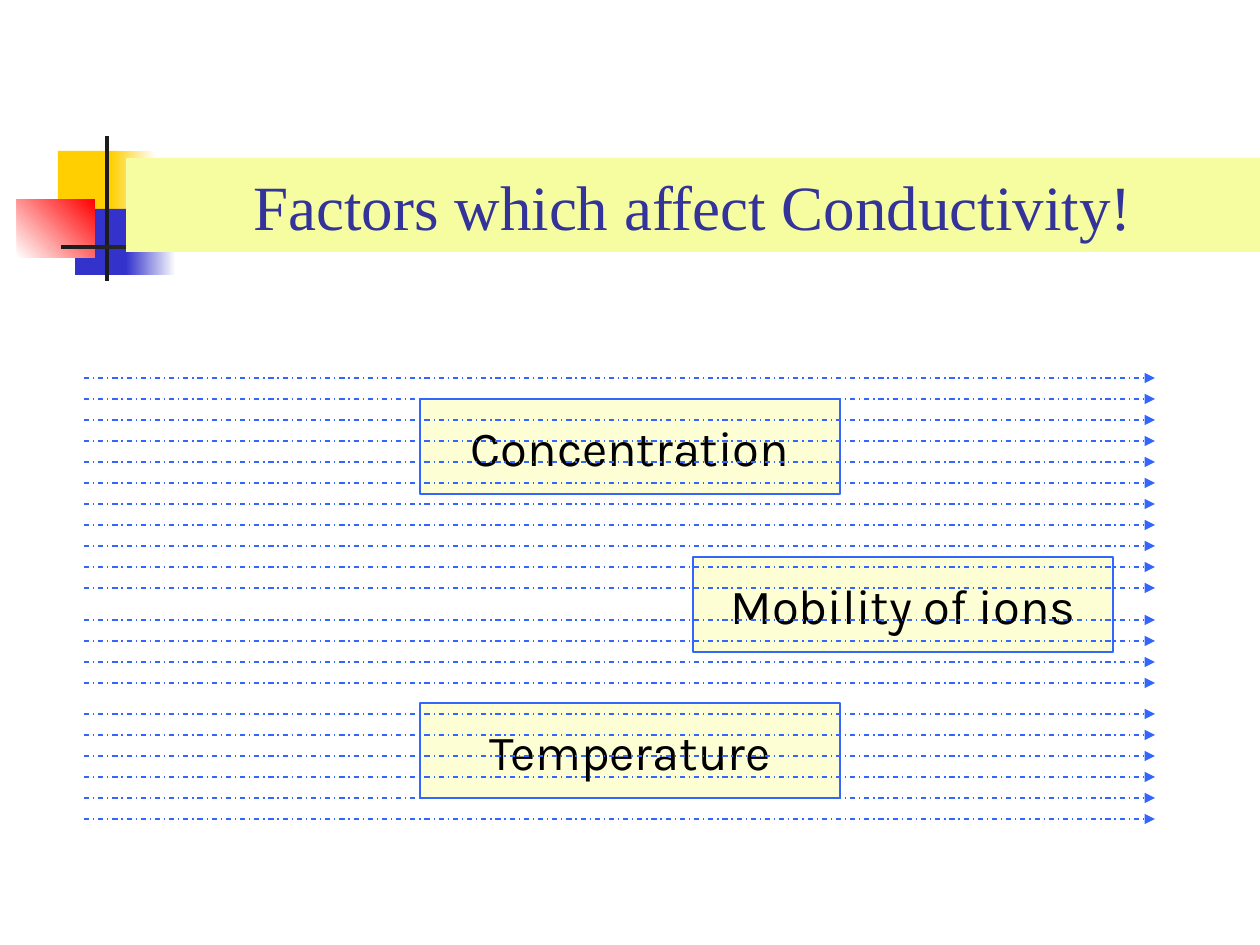
from dataclasses import dataclass
from typing import Optional

from lxml.etree import SubElement
from pptx import Presentation
from pptx.dml.color import RGBColor
from pptx.enum.dml import MSO_LINE
from pptx.enum.shapes import MSO_CONNECTOR, MSO_SHAPE
from pptx.enum.text import MSO_ANCHOR, MSO_AUTO_SIZE, PP_ALIGN
from pptx.oxml.ns import qn
from pptx.util import Emu, Pt

EMU_PER_PX = 914400 / 126
COLORS = {
    "yellow": "FFCF01",
    "blue": "3333CC",
    "red": "FF0000",
    "white": "FFFFFF",
    "bar": "1C1C1C",
    "banner": "F6FDA1",
    "title": "333399",
    "label": "FDFED4",
    "flow": "3366FF",
    "text": "000000",
}


@dataclass
class Block:
    left: int
    top: int
    width: int
    height: int
    color: str
    fade_to: Optional[str] = None
    angle: int = 0


@dataclass
class Factor:
    name: str
    left: int
    top: int


@dataclass
class FlowBand:
    top: int
    count: int


ORNAMENT = [
    Block(58, 151, 60, 65, "yellow"),
    Block(111, 151, 45, 65, "yellow", "white"),
    Block(75, 209, 58, 66, "blue"),
    Block(126, 209, 50, 66, "blue", "white"),
    Block(17, 199, 78, 59, "white", "red", 45),
    Block(105, 136, 4, 145, "bar"),
    Block(61, 245, 1134, 4, "bar", "white"),
]
FACTORS = [
    Factor("Mobility of ions", 693, 557),
    Factor("Concentration", 420, 399),
    Factor("Temperature", 420, 703),
]
FACTOR_WIDTH, FACTOR_HEIGHT = 420, 95
FLOW_BANDS = [FlowBand(378, 11), FlowBand(620, 4), FlowBand(714, 6)]
FLOW_LEFT, FLOW_RIGHT, FLOW_STEP = 84, 1155, 21


def px(length: int) -> Emu:
    return Emu(round(length * EMU_PER_PX))


def rgb(color: str) -> RGBColor:
    return RGBColor.from_string(COLORS[color])


def write_centred(shape, text: str, font_name: str, size: int, color: str, wrap: bool) -> None:
    frame = shape.text_frame
    frame.text = text
    frame.word_wrap = wrap
    frame.auto_size = MSO_AUTO_SIZE.NONE
    frame.vertical_anchor = MSO_ANCHOR.MIDDLE
    paragraph = frame.paragraphs[0]
    paragraph.alignment = PP_ALIGN.CENTER
    font = paragraph.font
    font.name, font.size = font_name, Pt(size)
    font.color.rgb = rgb(color)


def add_block(slide, block: Block):
    shape = slide.shapes.add_shape(
        MSO_SHAPE.RECTANGLE, px(block.left), px(block.top), px(block.width), px(block.height))
    shape.shadow.inherit = False
    shape.line.fill.background()
    if block.fade_to:
        shape.fill.gradient()
        shape.fill.gradient_angle = block.angle
        for stop, color in zip(shape.fill.gradient_stops, (block.color, block.fade_to)):
            stop.color.rgb = rgb(color)
    else:
        shape.fill.solid()
        shape.fill.fore_color.rgb = rgb(block.color)
    return shape


def add_factor(slide, factor: Factor) -> None:
    label = add_block(
        slide, Block(factor.left, factor.top, FACTOR_WIDTH, FACTOR_HEIGHT, "label"))
    label.line.color.rgb = rgb("flow")
    label.line.width = Pt(0.75)
    write_centred(label, factor.name, "Karla", 28, "text", wrap=False)


def add_flow_arrow(slide, y: int) -> None:
    arrow = slide.shapes.add_connector(
        MSO_CONNECTOR.STRAIGHT, px(FLOW_LEFT), px(y), px(FLOW_RIGHT), px(y))
    arrow.line.color.rgb = rgb("flow")
    arrow.line.width = Pt(0.75)
    arrow.line.dash_style = MSO_LINE.DASH_DOT
    SubElement(arrow.line._get_or_add_ln(), qn("a:tailEnd"), type="triangle")
    SubElement(arrow._element.spPr, qn("a:effectLst"))


def place_title(slide, text: str) -> None:
    """Format the title as a banner in front of everything else."""
    title = slide.shapes.title
    title.left, title.top, title.width, title.height = px(126), px(158), px(1134), px(94)
    title.fill.solid()
    title.fill.fore_color.rgb = rgb("banner")
    write_centred(title, text, "Times New Roman", 36, "title", wrap=True)
    slide.shapes._spTree.append(title._element)


def main() -> None:
    deck = Presentation()
    deck.slide_width, deck.slide_height = px(1260), px(945)
    slide = deck.slides.add_slide(deck.slide_layouts[5])
    for block in ORNAMENT:
        add_block(slide, block)
    for factor in FACTORS:
        add_factor(slide, factor)
    for band in FLOW_BANDS:
        for row in range(band.count):
            add_flow_arrow(slide, band.top + row * FLOW_STEP)
    place_title(slide, "Factors which affect Conductivity!")
    deck.save("out.pptx")


if __name__ == "__main__":
    main()
